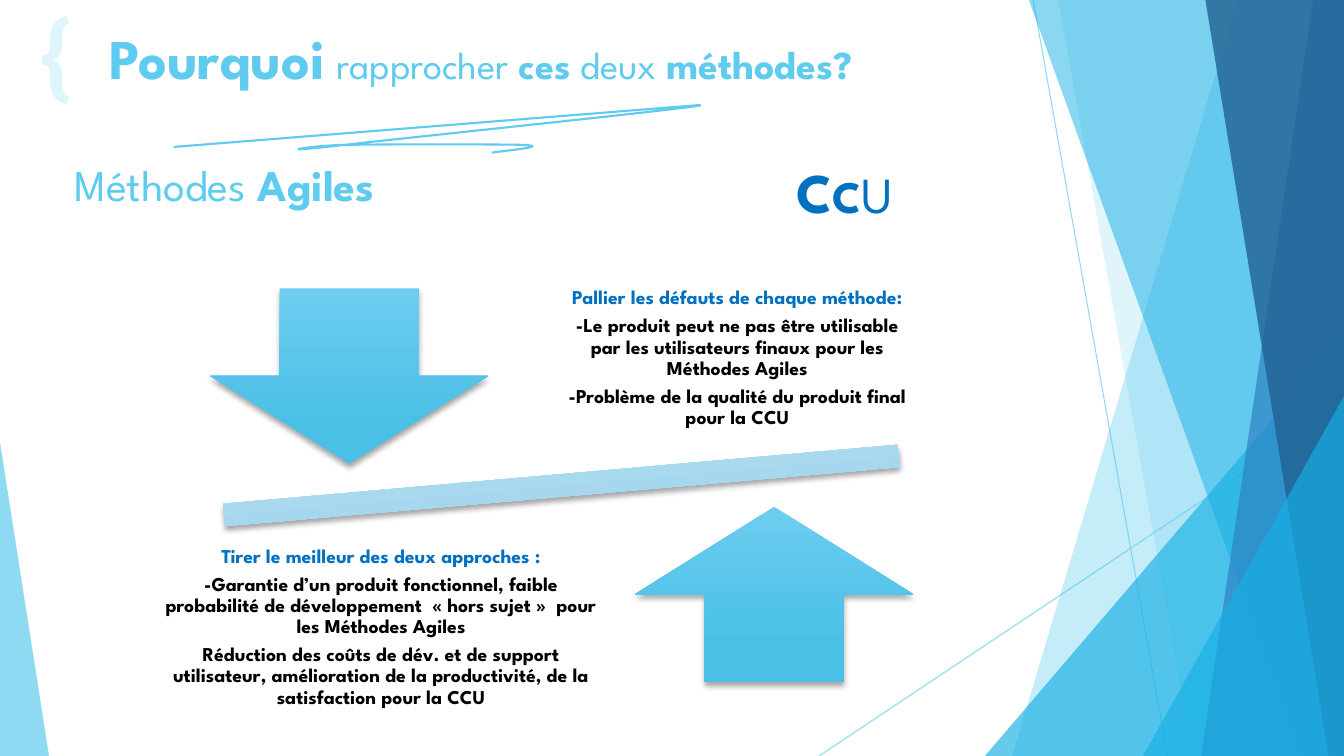
import pptx
import pptx.util
import pptx.dml.color
import pptx.enum.shapes
import pptx.enum.text
import pptx.oxml
import pptx.oxml.ns

Pt = pptx.util.Pt
RGBColor = pptx.dml.color.RGBColor
Shape = pptx.enum.shapes.MSO_SHAPE
Align = pptx.enum.text.PP_ALIGN
Anchor = pptx.enum.text.MSO_ANCHOR
qn = pptx.oxml.ns.qn

SKY = RGBColor(0x5F, 0xCB, 0xEF)
CYAN = RGBColor(0x17, 0xB0, 0xE4)
BLUE = RGBColor(0x2E, 0x83, 0xC3)
NAVY = RGBColor(0x22, 0x62, 0x92)
PALE = RGBColor(0xDF, 0xF5, 0xFC)
DEEP = RGBColor(0x00, 0x70, 0xC0)
BLACK = RGBColor(0, 0, 0)
ARROW = (RGBColor(0x6C, 0xCD, 0xF0), RGBColor(0x4B, 0xC0, 0xE6))
BAR = (RGBColor(0xBA, 0xE3, 0xF6), RGBColor(0x9D, 0xD2, 0xEB))
FONT = "League Spartan"


def fade(shape, alpha):
    for color in shape._element.spPr.iter(qn("a:srgbClr")):
        node = pptx.oxml.parse_xml(
            f'<a:alpha {pptx.oxml.ns.nsdecls("a")} val="{alpha * 1000}"/>')
        color.append(node)


def tint(shape, color, alpha):
    shape.shadow.inherit = False
    shape.line.fill.background()
    shape.fill.solid()
    shape.fill.fore_color.rgb = color
    fade(shape, alpha)


def outline(slide, points, closed):
    points = [(Pt(x), Pt(y)) for x, y in points]
    pen = slide.shapes.build_freeform(*points[0], scale=1.0)
    pen.add_line_segments(points[1:], close=closed)
    return pen.convert_to_shape()


def panel(slide, box, top, foot, color, alpha):
    x, y, w, h = box
    points = [(x + top, y), (x + w, y), (x + w, y + h), (x + foot, y + h)]
    tint(outline(slide, points, True), color, alpha)


def wedge(slide, box, tip, color, alpha):
    shape = slide.shapes.add_shape(Shape.ISOSCELES_TRIANGLE, *map(Pt, box))
    shape.adjustments[0] = tip
    tint(shape, color, alpha)


def ray(slide, *ends):
    line = slide.shapes.add_connector(
        pptx.enum.shapes.MSO_CONNECTOR.STRAIGHT, *map(Pt, ends))
    line.line.color.rgb = SKY
    line.line.width = Pt(0.75)
    fade(line, 70)
    line._element.spPr.append(pptx.oxml.parse_xml(
        f'<a:effectLst {pptx.oxml.ns.nsdecls("a")}/>'))


def decor(slide, box):
    x, y, w, h = box
    right, foot = x + w, y + h
    ray(slide, x + 738, y, x + 834, foot)
    ray(slide, right, y + 290, x + 585, foot)
    panel(slide, box, 884, 723, SKY, 36)
    panel(slide, box, 756, 852, SKY, 20)
    wedge(slide, (right - 256.5, foot - 300, 256.5, 300), 1, CYAN, 66)
    panel(slide, box, 735, 929.5, CYAN, 50)
    panel(slide, box, 938, 858, BLUE, 70)
    panel(slide, box, 861, 949, NAVY, 80)
    wedge(slide, (right - 143.5, foot - 257, 143.5, 257), 1, CYAN, 66)
    wedge(slide, (x, foot - 224, 35, 224), 0, SKY, 70)


def write(frame, paras, inset=(7.2, 3.6), align=Align.LEFT,
          anchor=Anchor.TOP, space=1.0, after=0, font=FONT):
    frame.word_wrap = True
    frame.auto_size = pptx.enum.text.MSO_AUTO_SIZE.NONE
    frame.vertical_anchor = anchor
    frame.margin_left = frame.margin_right = Pt(inset[0])
    frame.margin_top = frame.margin_bottom = Pt(inset[1])
    for i, runs in enumerate(paras):
        para = frame.add_paragraph() if i else frame.paragraphs[0]
        para.alignment = align
        para.line_spacing = space
        para.space_before = Pt(0)
        para.space_after = Pt(after)
        for text, size, color, bold in runs:
            run = para.add_run()
            run.text = text
            run.font.name = font
            run.font.size = Pt(size)
            run.font.color.rgb = color
            run.font.bold = bold


def label(slide, box, paras, **style):
    shape = slide.shapes.add_textbox(*map(Pt, box))
    write(shape.text_frame, paras, **style)


def header(slide, box):
    x, y, w, h = box
    title = slide.shapes.title
    title.left, title.top, title.width, title.height = map(Pt, box)
    write(title.text_frame, [[
        ("Pourquoi", 40, SKY, True), (" ", 35.1, SKY, False),
        ("rapprocher", 27.3, SKY, False), (" ces ", 27.3, SKY, True),
        ("deux ", 27.3, SKY, False), ("méthodes?", 28.3, SKY, True)]])
    label(slide, (x - 71, y - 16, 80, 84), [[("{", 66, PALE, True)]],
          inset=(0, 0), align=Align.CENTER, font="Roboto")


def curve(start, one, two, end, steps=14):
    for i in range(1, steps + 1):
        t = i / steps
        s = 1 - t
        yield tuple(s**3 * a + 3 * s * s * t * b + 3 * s * t * t * c + t**3 * d
                    for a, b, c, d in zip(start, one, two, end))


def scrawl(slide, box):
    x, y, w, h = box
    points = [(0, 30), (376, 0)]
    bends = [((394, 0), (150, 25), (109, 30)),
             ((67, 34.5), (101, 28.5), (124, 28.5)),
             ((147.5, 28), (232.5, 28), (250, 28.5)),
             ((267, 29.5), (247, 31.5), (227.5, 34))]
    for bend in bends:
        points += curve(points[-1], *bend)
    shape = outline(slide, [(x + a, y + b) for a, b in points], False)
    shape.shadow.inherit = False
    shape.fill.background()
    shape.line.color.rgb = SKY
    shape.line.width = Pt(1.5)


def heads(slide, box):
    x, y, w, h = box
    label(slide, (x, y, 480, h),
          [[("Méthodes", 31.2, SKY, False), (" Agiles", 31.2, SKY, True)]])
    label(slide, (x + 516, y, w - 516, h),
          [[("C", 40, DEEP, True), ("C", 32.2, DEEP, True),
            ("U", 36.1, DEEP, False)]])


def glossy(slide, kind, box, colors, turn=0):
    shape = slide.shapes.add_shape(kind, *map(Pt, box))
    shape.rotation = turn
    shape.line.fill.background()
    shape.fill.gradient()
    shape.fill.gradient_angle = 270
    for stop, color, place in zip(shape.fill.gradient_stops, colors, (0, 0.78)):
        stop.color.rgb = color
        stop.position = place
    shape.shadow.inherit = False
    shape._element.spPr.find(qn("a:effectLst")).append(pptx.oxml.parse_xml(
        f'<a:outerShdw {pptx.oxml.ns.nsdecls("a")} blurRad="{Pt(4)}" '
        f'dist="{Pt(3)}" dir="5400000" rotWithShape="0"><a:srgbClr val="000000">'
        '<a:alpha val="35000"/></a:srgbClr></a:outerShdw>'))


def points(slide, box, inset, head, *items):
    paras = [[(head, 14, DEEP, True)]]
    paras += [[(item, 14, BLACK, True)] for item in items]
    label(slide, box, paras, inset=(inset, inset), align=Align.CENTER,
          anchor=Anchor.MIDDLE, space=0.9, after=5)


def balance(slide, box):
    x, y, w, h = box
    glossy(slide, Shape.MATH_MINUS, (x, y + 122.5, w, 68.5), BAR, 355)
    glossy(slide, Shape.DOWN_ARROW, (x + 78, y + 16, 199, 125), ARROW)
    points(slide, (x + 319, y, 271.5, 132), 8,
           "Pallier les défauts de chaque méthode:",
           "-Le produit peut ne pas être utilisable par les utilisateurs finaux "
           "pour les Méthodes Agiles",
           "-Problème de la qualité du produit final pour la CCU")
    glossy(slide, Shape.UP_ARROW, (x + 381.5, y + 172, 199, 125), ARROW)
    points(slide, (x + 39, y + 202, 322.5, 112), 6.5,
           "Tirer le meilleur des deux approches :",
           "-Garantie d’un produit fonctionnel, faible probabilité de "
           "développement  « hors sujet »  pour les Méthodes Agiles",
           "Réduction des coûts de dév. et de support utilisateur, amélioration "
           "de la productivité, de la satisfaction pour la CCU")


def main():
    deck = pptx.Presentation()
    deck.slide_width, deck.slide_height = Pt(960), Pt(540)
    slide = deck.slides.add_slide(deck.slide_layouts[5])
    decor(slide, (0, 0, 960, 540))
    header(slide, (71, 13, 819, 90))
    scrawl(slide, (124, 75, 377, 34))
    heads(slide, (46, 109, 914, 90))
    balance(slide, (72, 190, 658, 314))
    deck.save("out.pptx")


if __name__ == "__main__":
    main()
